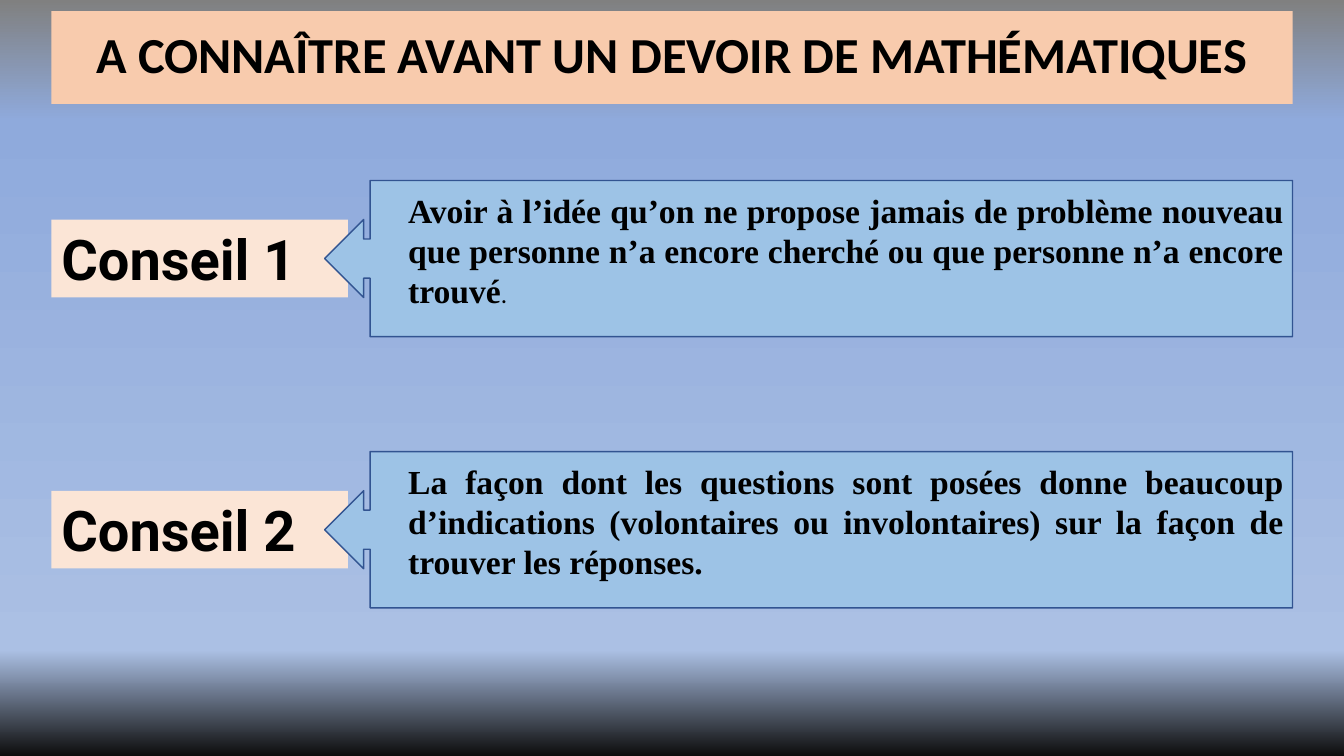
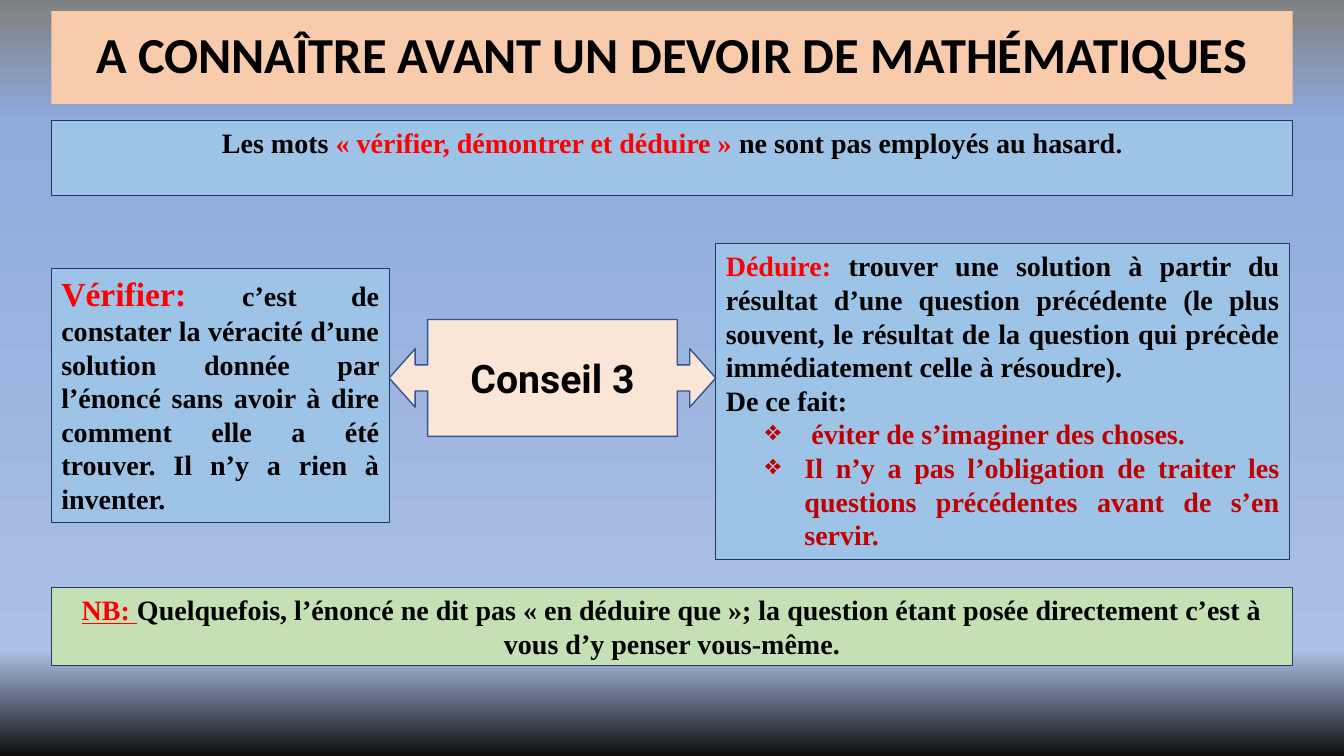
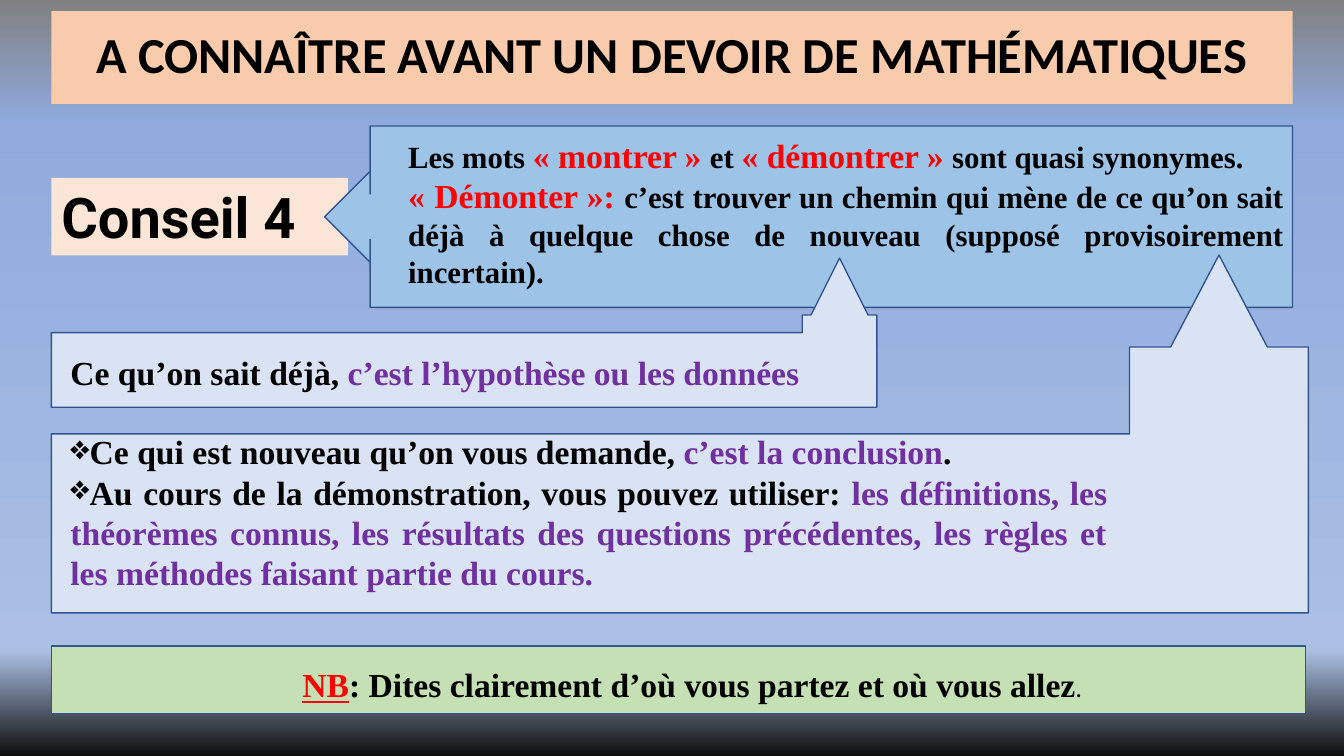
from copy import deepcopy

from pptx import Presentation
from pptx.dml.color import RGBColor
from pptx.enum import shapes, text
from pptx.oxml import ns, xmlchemy
from pptx.util import Inches, Pt

KIND = shapes.MSO_SHAPE
ALIGN = text.PP_ALIGN
SERIF, SANS, LABEL = "Times New Roman", "Calibri", "Roboto"
INK, RED, DARK_RED, PURPLE = "000000", "FF0000", "C00000", "7030A0"
PEACH, CREAM, SKY, PALE, GREEN = "F8CBAD", "FBE5D6", "9DC3E6", "DAE3F3", "C5E0B4"
NAVY, BLUE = ("203864", 0.75), ("325491", 1)
BACKDROP = [(0, "808080"), (0.16, "8FAADC"), (0.86, "ABC0E4"), (1, "0D0D0D")]
TITLE = "A CONNAÎTRE AVANT UN DEVOIR DE MATHÉMATIQUES"
LEFT, WIDTH = 0.51, 12.31
LABEL_HEIGHT = 0.77
PLAIN_STOP = (".", {"size": 18, "face": SANS, "bold": False})


def rgb(value):
    return RGBColor.from_string(value)


def set_font(font, size=None, color=None, face=None, bold=None, underline=None):
    if size:
        font.size = Pt(size)
    if color:
        font.color.rgb = rgb(color)
    if face:
        font.name = face
    if bold is not None:
        font.bold = bold
    if underline:
        font.underline = True


def set_bullet(para, margin, indent):
    properties = para._p.get_or_add_pPr()
    properties.set("marL", str(Inches(margin)))
    properties.set("indent", str(Inches(indent)))
    bullet = xmlchemy.OxmlElement("a:buChar")
    bullet.set("char", "❖")
    defaults = properties.find(ns.qn("a:defRPr"))
    defaults.addprevious(bullet)


def write(shape, paragraphs, size=24, face=SERIF, align=ALIGN.JUSTIFY,
          anchor=text.MSO_ANCHOR.TOP, bullet=None):
    """Fill a shape with paragraphs, each a list of strings or (string, font changes)."""
    frame = shape.text_frame
    frame.word_wrap = True
    frame.vertical_anchor = anchor
    for index, spans in enumerate(paragraphs):
        para = frame.paragraphs[0] if index == 0 else frame.add_paragraph()
        para.alignment = align
        set_font(para.font, size, INK, face, True)
        if bullet:
            set_bullet(para, *bullet)
        for item in spans:
            words, changes = (item, {}) if isinstance(item, str) else item
            span = para.add_run()
            span.text = words
            set_font(span.font, **changes)
    return frame


def add_panel(page, box, fill, line=None, kind=KIND.RECTANGLE, adjust=()):
    panel = page.shapes.add_shape(kind, *map(Inches, box))
    panel.shadow.inherit = False
    panel.fill.solid()
    panel.fill.fore_color.rgb = rgb(fill)
    if line:
        panel.line.color.rgb = rgb(line[0])
        panel.line.width = Pt(line[1])
    else:
        panel.line.fill.background()
    for index, value in enumerate(adjust):
        panel.adjustments[index] = value
    return panel


def add_text(page, box, paragraphs, **style):
    return write(page.shapes.add_textbox(*map(Inches, box)), paragraphs, **style)


def set_backdrop(master):
    fill = master.background.fill
    fill.gradient()
    fill.gradient_angle = 270
    stops = next(master._element.iter(ns.qn("a:gsLst")))
    while len(stops) < len(BACKDROP):
        stops.append(deepcopy(stops[0]))
    for stop, (position, color) in zip(fill.gradient_stops, BACKDROP):
        stop.position = position
        stop.color.rgb = rgb(color)


def add_page(deck):
    page = deck.slides.add_slide(deck.slide_layouts[6])
    band = add_panel(page, (LEFT, 0.11, WIDTH, 0.92), PEACH)
    frame = write(band, [[TITLE]], 36, SANS, ALIGN.CENTER, text.MSO_ANCHOR.MIDDLE)
    frame.paragraphs[0].line_spacing = 0.9
    return page


def add_advice(page, top, height, label, paragraphs, size=24):
    """Place a label and the callout that points at its middle."""
    label_top = top + (height - LABEL_HEIGHT) / 2
    tag = add_panel(page, (LEFT, label_top, 2.94, LABEL_HEIGHT), CREAM)
    write(tag, [[label]], 40, LABEL, ALIGN.LEFT)
    add_panel(page, (3.22, top, 9.6, height), SKY, BLUE,
              KIND.LEFT_ARROW_CALLOUT, (0.25, 0.25, 0.25, 0.953))
    add_text(page, (3.95, top + 0.04, 8.88, height), paragraphs, size=size)


def add_bent_arrow(page, box, adjust, text_box, paragraphs, **style):
    """Place a bent arrow; text_box is relative to its top left corner."""
    add_panel(page, box, PALE, BLUE, KIND.BENT_UP_ARROW, adjust)
    left, top, width, height = text_box
    add_text(page, (box[0] + left, box[1] + top, width, height), paragraphs, **style)


def build_first_advice(deck):
    page = add_page(deck)
    add_advice(page, 1.79, 1.55, "Conseil 1", [[
        "Avoir à l’idée qu’on ne propose jamais de problème nouveau que personne "
        "n’a encore cherché ou que personne n’a encore trouvé", PLAIN_STOP]])
    add_advice(page, 4.48, 1.55, "Conseil 2", [[
        "La façon dont les questions sont posées donne beaucoup d’indications "
        "(volontaires ou involontaires) sur la façon de trouver les réponses."]])


def build_vocabulary(deck):
    page = add_page(deck)
    red = {"color": RED}
    note = add_panel(page, (LEFT, 5.83, WIDTH, 0.77), GREEN, NAVY)
    write(note, [[
        ("NB: ", {"color": RED, "underline": True}),
        "Quelquefois, l’énoncé ne dit pas « en déduire que »; la question étant posée "
        "directement c’est à vous d’y penser vous-même."]], 20, align=ALIGN.CENTER)

    check = add_panel(page, (LEFT, 2.66, 3.35, 2.52), SKY, NAVY)
    write(check, [[
        ("Vérifier: ", {"color": RED, "size": 24}),
        "c’est de constater la véracité d’une solution donnée par l’énoncé sans avoir "
        "à dire comment elle a été trouver. Il n’y a rien à inventer."]], 20)

    deduce = add_panel(page, (7.1, 2.42, 5.69, 3.13), SKY, NAVY)
    warning = {"color": DARK_RED}
    frame = write(deduce, [
        [("Déduire:", red),
         " trouver une solution à partir du résultat d’une question précédente (le plus "
         "souvent, le résultat de la question qui précède immédiatement celle à résoudre)."],
        ["De ce fait:"],
        [(" éviter de s’imaginer des choses.", warning)],
        [("Il n’y a pas l’obligation de traiter les questions précédentes avant de "
          "s’en servir.", warning)]], 20)
    for para in frame.paragraphs[2:]:
        para.font.color.rgb = rgb(DARK_RED)
        set_bullet(para, 0.78, -0.39)

    hub = add_panel(page, (3.86, 3.17, 3.24, 1.16), CREAM, BLUE,
                    KIND.LEFT_RIGHT_ARROW_CALLOUT, (0.223, 0.25, 0.223, 0.764))
    write(hub, [["Conseil 3"]], 28, LABEL, ALIGN.CENTER, text.MSO_ANCHOR.MIDDLE)

    intro = add_panel(page, (LEFT, 1.2, WIDTH, 0.74), SKY, NAVY)
    write(intro, [[
        "Les mots ", ("« vérifier, démontrer et déduire » ", red),
        "ne sont pas employés au hasard", (".", {"size": 18})]], 20, align=ALIGN.CENTER)


def build_proof(deck):
    page = add_page(deck)
    key = {"color": RED, "size": 24}
    purple = {"color": PURPLE}
    add_advice(page, 1.25, 1.8, "Conseil 4", [
        ["Les mots ", ("« montrer » ", key), "et ", ("« démontrer » ", key),
         "sont quasi synonymes."],
        [("« Démonter »: ", key),
         "c’est trouver un chemin qui mène de ce qu’on sait déjà à quelque chose de "
         "nouveau (supposé provisoirement incertain)."]], 22)
    add_bent_arrow(
        page, (LEFT, 2.56, 8.1, 1.48), (0.5, 0.191, 0.382), (0.09, 0.88, 7.82, 0.5),
        [["Ce qu’on sait déjà, ", ("c’est l’hypothèse ou les données", purple)]],
        align=ALIGN.LEFT)
    add_bent_arrow(
        page, (LEFT, 2.53, 12.06, 3.55), (0.5, 0.135, 0.257), (0.09, 1.7, 10.48, 1.72),
        [["Ce qui est nouveau qu’on vous demande, ", ("c’est la conclusion", purple), "."],
         ["Au cours de la démonstration, vous pouvez utiliser: ",
          ("les définitions, les théorèmes connus, les résultats des questions "
           "précédentes, les règles et les méthodes faisant partie du cours.", purple)]],
        bullet=(0, 0))
    note = add_panel(page, (LEFT, 6.41, 12.44, 0.67), GREEN, BLUE)
    frame = write(note, [[
        ("NB", {"color": RED, "underline": True}),
        ": Dites clairement d’où vous partez et où vous allez", PLAIN_STOP]],
        align=ALIGN.CENTER)
    frame.margin_left, frame.margin_top = Inches(0.37), Inches(0.18)


def main():
    deck = Presentation()
    deck.slide_width, deck.slide_height = Inches(13.33), Inches(7.5)
    set_backdrop(deck.slide_master)
    build_first_advice(deck)
    build_vocabulary(deck)
    build_proof(deck)
    deck.save("out.pptx")


if __name__ == "__main__":
    main()
